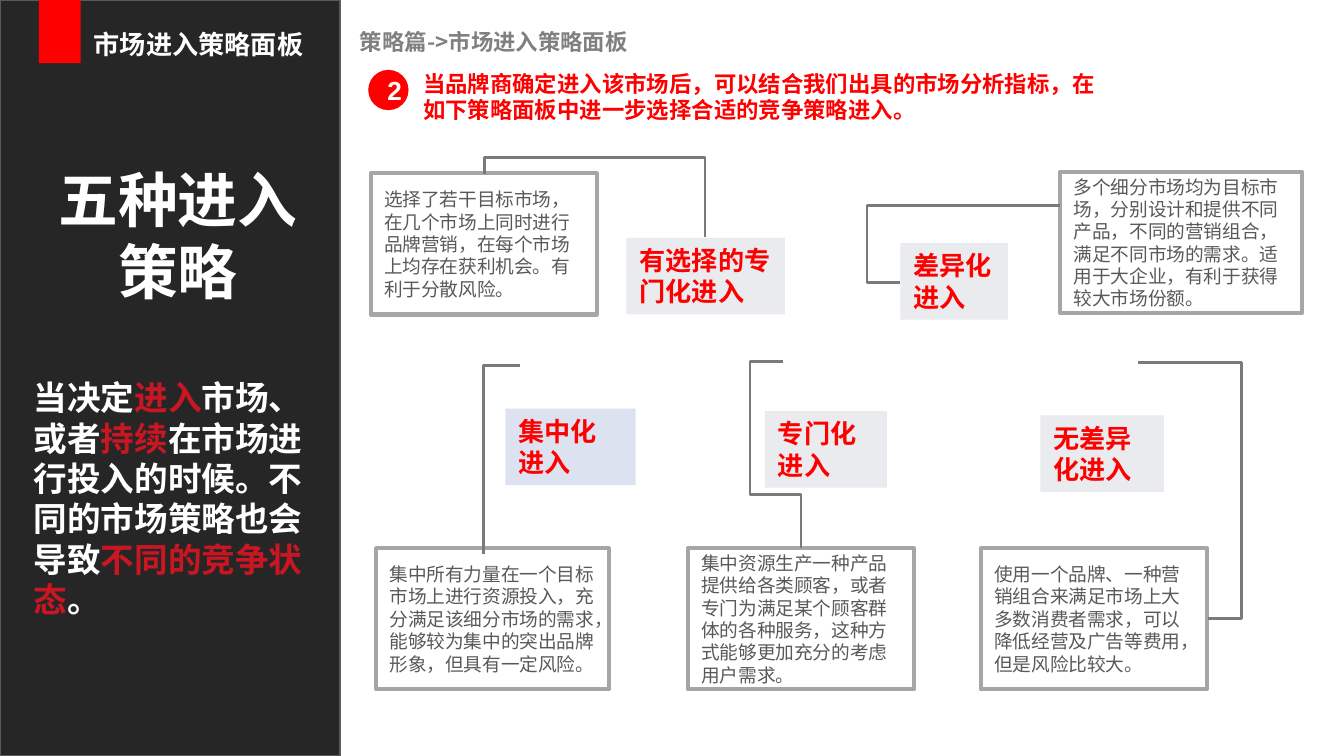
from lxml import etree
from pptx import Presentation
from pptx.dml.color import RGBColor
from pptx.enum.shapes import MSO_CONNECTOR, MSO_SHAPE
from pptx.enum.text import MSO_ANCHOR, PP_ALIGN
from pptx.oxml.ns import qn
from pptx.util import Inches, Pt

RECTANGLE, OVAL, ELBOW = MSO_SHAPE.RECTANGLE, MSO_SHAPE.OVAL, MSO_CONNECTOR.ELBOW
TOP, MIDDLE = MSO_ANCHOR.TOP, MSO_ANCHOR.MIDDLE
LEFT, CENTER = PP_ALIGN.LEFT, PP_ALIGN.CENTER
CJK_FONT = "Noto Sans CJK SC"
RED, DEEP_RED, WHITE, GRAY = "FF0000", "C81623", "FFFFFF", "7A7A7A"
SLIDE_WIDTH = 10
SLIDE_HEIGHT = SLIDE_WIDTH * 9 / 16


def color(value):
    return RGBColor.from_string(value)


def write(paragraph, runs, size, bold=True, align=LEFT, font=CJK_FONT):
    """Fill a paragraph with (text, colour) runs."""
    paragraph.alignment = align
    paragraph.line_spacing = Pt(round(size * 1.2, 1))
    for text, shade in runs:
        run = paragraph.add_run()
        run.text = text
        for name, value in {"size": Pt(size), "bold": bold, "name": font}.items():
            setattr(run.font, name, value)
        run.font.color.rgb = color(shade)
        east_asian = etree.SubElement(run.font._element, qn("a:ea"))
        east_asian.set("typeface", CJK_FONT)


presentation = Presentation()
presentation.slide_width = Inches(SLIDE_WIDTH)
presentation.slide_height = Inches(SLIDE_HEIGHT)
slide = presentation.slides.add_slide(presentation.slide_layouts[6])
shapes = slide.shapes

# Styles: line, line width, text size, text colour, bold, align, anchor
label = (None, 0, 14, RED, True, LEFT, TOP)
card = ("A6A6A6", 2.25, 10, "595959", False, LEFT, MIDDLE)
plain = (None, 0, 14, WHITE, True, CENTER, MIDDLE)
panel = ("5A5A5A", 1, 14, WHITE, True, CENTER, MIDDLE)

# Shapes: kind, box, fill, text, style
blocks = [
    (RECTANGLE, (0, 0, 2.53, SLIDE_HEIGHT), "262626", "", panel),
    (RECTANGLE, (0.29, 0, 0.31, 0.47), RED, "", plain),
    (RECTANGLE, (6.7, 1.81, 0.8, 0.57), "EAEBEE", "差异化进入", label),
    (RECTANGLE, (4.66, 1.77, 1.18, 0.57), "EAEBEE", "有选择的专门化进入", label),
    (RECTANGLE, (3.76, 3.04, 0.97, 0.57), "DCE2EF", "集中化进入", label),
    (RECTANGLE, (5.69, 3.06, 0.91, 0.57), "EAEBEE", "专门化进入", label),
    (RECTANGLE, (7.74, 3.09, 0.92, 0.57), "EAEBEE", "无差异化进入", label),
    (OVAL, (2.74, 0.52, 0.3, 0.3), RED, "2", plain),
    (RECTANGLE, (2.8, 4.08, 1.73, 1.05), None,
     "集中所有力量在一个目标市场上进行资源投入，充分满足该细分市场的需求，能够较为集中的突出品牌形象，但具有一定风险。", card),
    (RECTANGLE, (2.76, 1.29, 1.68, 1.05), None,
     "选择了若干目标市场，在几个市场上同时进行品牌营销，在每个市场上均存在获利机会。有利于分散风险。", card),
    (RECTANGLE, (5.12, 4.08, 1.68, 1.05), None,
     "集中资源生产一种产品提供给各类顾客，或者专门为满足某个顾客群体的各种服务，这种方式能够更加充分的考虑用户需求。", card),
    (RECTANGLE, (7.3, 4.08, 1.68, 1.05), None,
     "使用一个品牌、一种营销组合来满足市场上大多数消费者需求，可以降低经营及广告等费用，但是风险比较大。", card),
    (RECTANGLE, (7.89, 1.28, 1.8, 1.05), None,
     "多个细分市场均为目标市场，分别设计和提供不同产品，不同的营销组合，满足不同市场的需求。适用于大企业，有利于获得较大市场份额。", card),
]
for kind, box, fill, text, style in blocks:
    line, width, size, text_color, bold, align, anchor = style
    shape = shapes.add_shape(kind, *map(Inches, box))
    shape.shadow.inherit = False
    if fill:
        shape.fill.solid()
        shape.fill.fore_color.rgb = color(fill)
    else:
        shape.fill.background()
    if line:
        shape.line.color.rgb = color(line)
        shape.line.width = Pt(width)
    else:
        shape.line.fill.background()
    if text:
        shape.text_frame.vertical_anchor = anchor
        font = "Arial" if kind == OVAL else CJK_FONT
        write(shape.text_frame.paragraphs[0], [(text, text_color)], size, bold, align, font)

# Headings
headings = [
    ((0.6, 0.16, 1.86, 0.34), "市场进入策略面板", 14, WHITE, MIDDLE),
    ((2.58, 0.16, 4.88, 0.3), "策略篇->市场进入策略面板", 12, "808080", TOP),
    ((3.05, 0.47, 5.31, 0.5),
     "当品牌商确定进入该市场后，可以结合我们出具的市场分析指标，在如下策略面板中进一步选择合适的竞争策略进入。", 12, RED, TOP),
]
for box, text, size, shade, anchor in headings:
    frame = shapes.add_textbox(*map(Inches, box)).text_frame
    frame.word_wrap, frame.vertical_anchor = True, anchor
    write(frame.paragraphs[0], [(text, shade)], size)

# Side panel message
frame = shapes.add_textbox(Inches(0.18), Inches(1.38), Inches(2.29), Inches(3.06)).text_frame
insets = {"margin_left": 0.07, "margin_right": 0.07, "margin_top": 0.04, "margin_bottom": 0.04}
for name, value in insets.items():
    setattr(frame, name, Inches(value))
frame.word_wrap, frame.vertical_anchor = True, MIDDLE
write(frame.paragraphs[0], [("五种进入策略", WHITE)], 32, align=CENTER, font="Comic Neue")
message = frame.add_paragraph()
message.space_before = Pt(38)
write(message, [
    ("当决定", WHITE), ("进入", DEEP_RED), ("市场、或者", WHITE), ("持续", DEEP_RED),
    ("在市场进行投入的时候。不同的市场策略也会导致", WHITE),
    ("不同的竞争状态", DEEP_RED), ("。", WHITE),
], 18, font="Comic Neue")

# Elbow connectors: start and end, preset, bend positions, rotation in degrees
connectors = [
    ((3.87, 2.72, 3.6, 4.12), "bentConnector2", [], 0),
    ((4.19, 2.35, 4.66, 0.71), "bentConnector3", [1.26], 270),
    ((5.83, 2.69, 5.96, 4.08), "bentConnector4", [-1.92, 0.71], 0),
    ((8.47, 2.7, 8.99, 4.6), "bentConnector3", [1.48], 0),
    ((6.7, 2.1, 7.89, 1.53), "bentConnector3", [-0.21], 0),
]
for ends, preset, bends, rotation in connectors:
    connector = shapes.add_connector(ELBOW, *map(Inches, ends))
    connector.line.color.rgb = color(GRAY)
    connector.line.width = Pt(1.5)
    properties = connector._element.spPr
    etree.SubElement(properties, qn("a:effectLst"))
    if rotation:
        properties.find(qn("a:xfrm")).set("rot", str(rotation * 60000))
    geometry = properties.find(qn("a:prstGeom"))
    geometry.set("prst", preset)
    guides = geometry.find(qn("a:avLst"))
    for number, bend in enumerate(bends, 1):
        guide = etree.SubElement(guides, qn("a:gd"))
        guide.set("name", f"adj{number}")
        guide.set("fmla", f"val {round(bend * 100000)}")

presentation.save("out.pptx")
